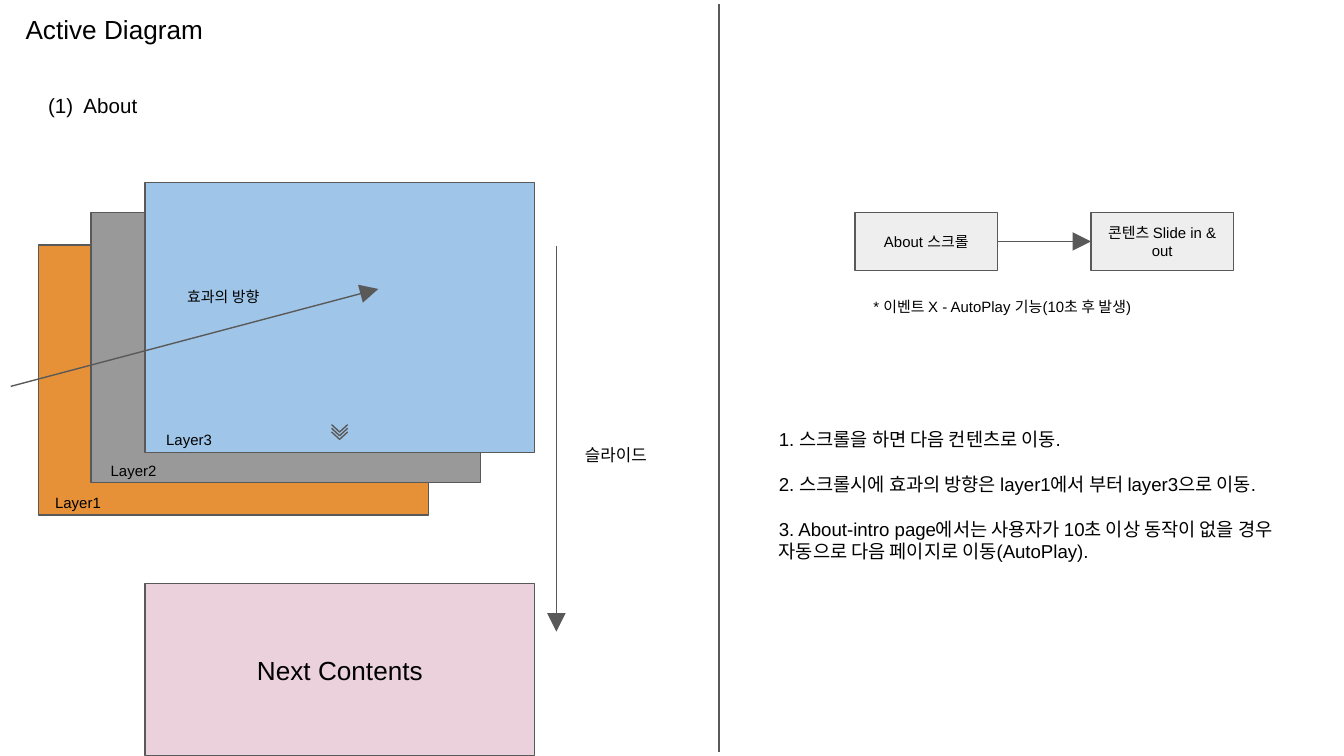
"""Build the Active Diagram slide: stacked layers, scroll flow and notes."""
from lxml.etree import SubElement
from pptx import Presentation
from pptx.dml.color import RGBColor as RGB
from pptx.enum.shapes import MSO_CONNECTOR as CONN, MSO_SHAPE as SHAPE
from pptx.enum.text import MSO_ANCHOR as ANCHOR, MSO_AUTO_SIZE as AUTO, PP_ALIGN as ALIGN
from pptx.oxml.ns import qn
from pptx.util import Inches, Pt


class Theme:
    font = "Arial"
    ink, line = RGB.from_string("000000"), RGB.from_string("595959")
    layers = ["E69138", "999999", "9FC5E8"]
    next, step = "EAD1DC", "EEEEEE"
    title, heading, body, label, small = 14, 11, 10, 9, 8
    stroke = Pt(0.75)


prs = Presentation()
prs.slide_width, prs.slide_height = Inches(10), Inches(10) * 9 // 16
s = prs.slides.add_slide(prs.slide_layouts[1])
U = prs.slide_width / 100


def write(sp, *lines, size=Theme.small, align=ALIGN.LEFT, anchor=ANCHOR.TOP, gap=0):
    """Fill a shape with formatted paragraphs."""
    tf = sp.text_frame
    tf.auto_size, tf.word_wrap, tf.vertical_anchor = AUTO.NONE, True, anchor
    tf.margin_left = tf.margin_right = tf.margin_top = tf.margin_bottom = int(U)
    for i, line in enumerate(lines):
        p = tf.paragraphs[0] if i == 0 else tf.add_paragraph()
        p.alignment, p.space_before, p.space_after = align, Pt(0), Pt(gap)
        r = p.add_run()
        r.text = line
        r.font.name, r.font.size, r.font.color.rgb = Theme.font, Pt(size), Theme.ink
        r._r.get_or_add_rPr().set("kern", "0")


def box(x, y, w, h, color):
    """Add an outlined rectangle measured in grid columns."""
    sp = s.shapes.add_shape(SHAPE.RECTANGLE, *(int(v * U) for v in (x, y, w, h)))
    sp.shadow.inherit = False
    sp.fill.solid()
    sp.fill.fore_color.rgb = RGB.from_string(color)
    sp.line.color.rgb, sp.line.width = Theme.line, Theme.stroke
    return sp


title, notes = s.placeholders
for sp, frame in ((title, (0.9, 0, 35.2, 3.5)), (notes, (56.95, 30.85, 41.5, 22.1))):
    sp.left, sp.top, sp.width, sp.height = (int(v * U) for v in frame)
write(title, "Active Diagram", size=Theme.title)
write(notes, "1. 스크롤을 하면 다음 컨텐츠로 이동.",
      "2. 스크롤시에 효과의 방향은 layer1에서 부터 layer3으로 이동.",
      "3. About-intro page에서는 사용자가 10초 이상 동작이 없을 경우 자동으로 다음 페이지로 이동(AutoPlay).",
      size=Theme.body, gap=12)
for p in notes.text_frame.paragraphs:
    pPr = p._p.get_or_add_pPr()
    pPr.set("marL", "0")
    pPr.set("indent", "0")
    SubElement(pPr, qn("a:buNone"))

corners = [(2.87, 18.22), (6.78, 15.8), (10.8, 13.58)]
for (x, y), color in zip(corners, Theme.layers):
    box(x, y, 29, 20.1, color)

for i in range(3):
    y = 31.6 + 0.27 * i
    fb = s.shapes.build_freeform(int(24.67 * U), int(y * U))
    fb.add_line_segments([(int(25.27 * U), int((y + 0.55) * U)),
                          (int(25.87 * U), int(y * U))], close=False)
    chevron = fb.convert_to_shape()
    chevron.shadow.inherit = False
    chevron.fill.background()
    chevron.line.color.rgb, chevron.line.width = Theme.line, Theme.stroke

write(box(10.8, 43.43, 29, 12.8, Theme.next), "Next Contents",
      size=Theme.title, align=ALIGN.CENTER, anchor=ANCHOR.MIDDLE)
for i, text in enumerate(("About 스크롤", "콘텐츠 Slide in & out")):
    write(box(63.63 + 17.55 * i, 15.82, 10.6, 4.3, Theme.step), text,
          align=ALIGN.CENTER, anchor=ANCHOR.MIDDLE)

lines = [((41.4, 18.3), (41.4, 47), True), ((0.8, 28.75), (28.15, 21.5), True),
         ((74.23, 17.97), (81.18, 17.97), True), ((53.5, 0.3), (53.5, 55.95), False)]
for start, end, arrow in lines:
    c = s.shapes.add_connector(CONN.STRAIGHT, *(int(v * U) for v in start + end))
    c.line.color.rgb, c.line.width = Theme.line, Theme.stroke
    if arrow:
        SubElement(c.line._get_or_add_ln(), qn("a:tailEnd"), type="triangle", w="lg", len="lg")
    SubElement(c._element.spPr, qn("a:effectLst"))

labels = [(f"Layer{i + 1}", 3.12 + 4.13 * i, 35.73 - 2.36 * i, 6.6, 2.9, Theme.small)
          for i in range(3)]
labels += [("(1)  About", 2.6, 5.9, 24.7, 3.5, Theme.heading),
           ("슬라이드", 42.54, 32.1, 7.2, 3.5, Theme.label),
           ("효과의 방향", 12.94, 20.4, 11.2, 2.9, Theme.small),
           ("* 이벤트 X - AutoPlay 기능(10초 후 발생)", 64, 21.15, 27.8, 3.5, Theme.small)]
for text, x, y, w, h, size in labels:
    write(s.shapes.add_textbox(*(int(v * U) for v in (x, y, w, h))), text, size=size)

prs.save("out.pptx")
